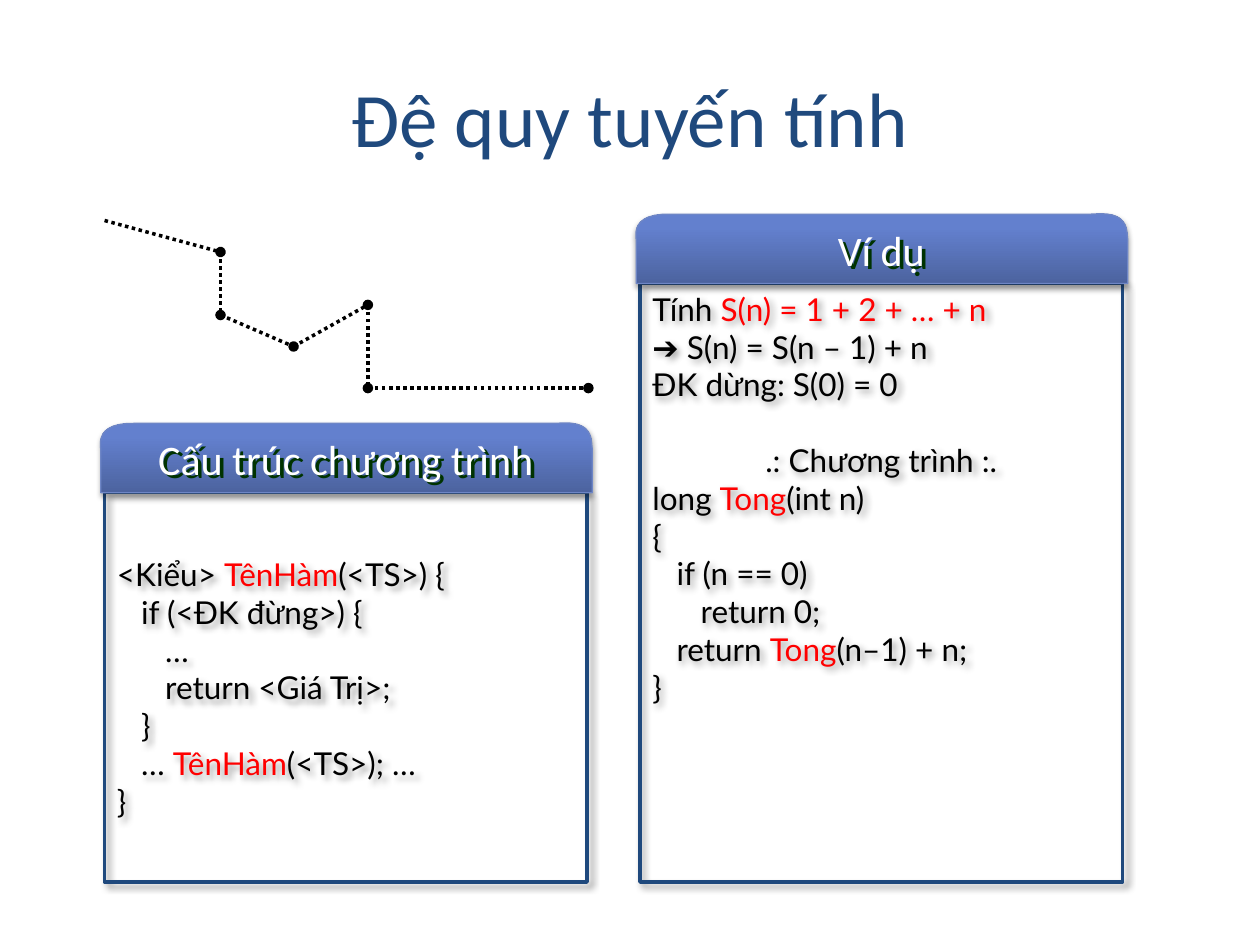
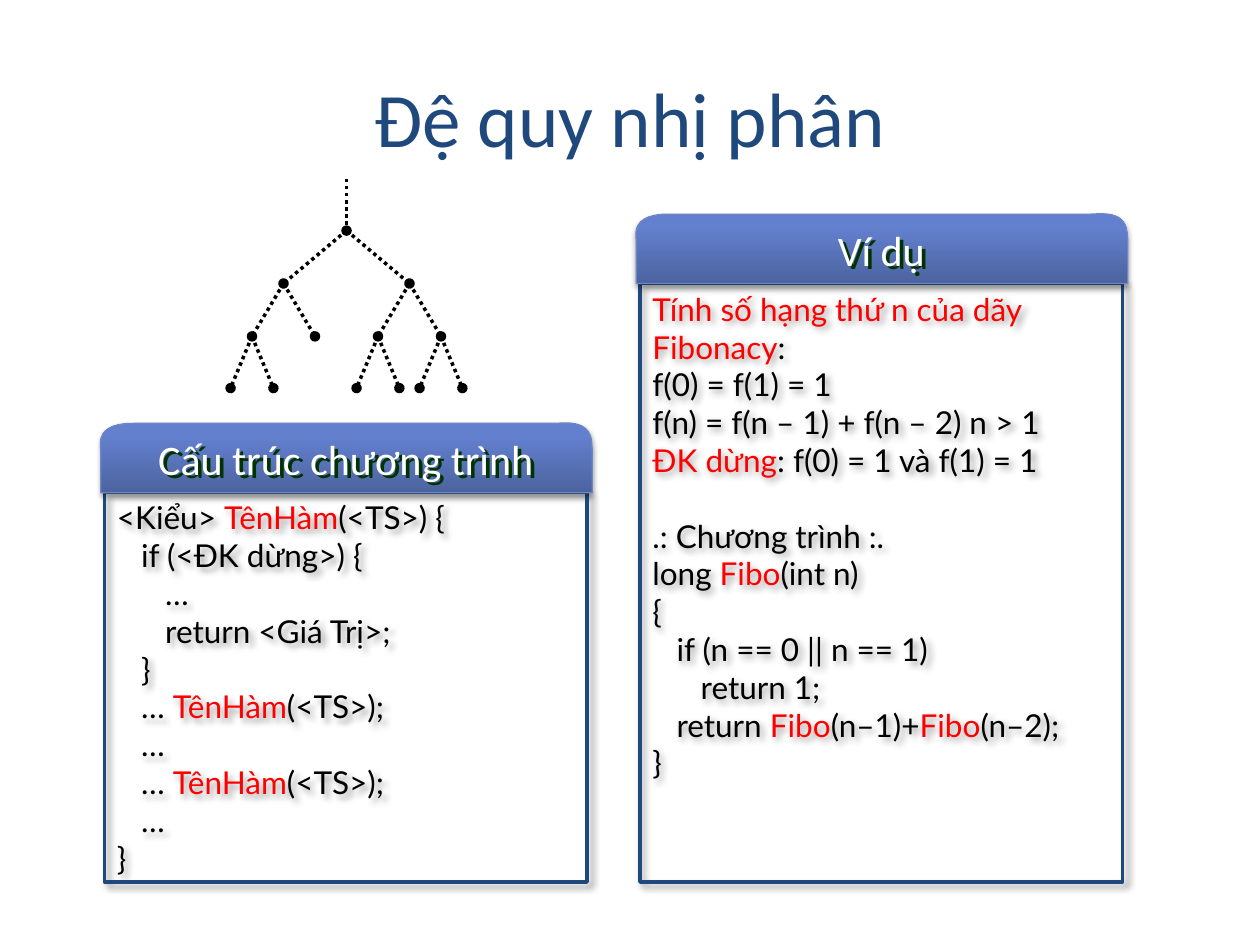
"""Build two slides on linear and binary recursion in Vietnamese."""
from lxml import etree
from pptx import Presentation
from pptx import util as u
from pptx.dml.color import RGBColor
from pptx.enum import dml, shapes, text
from pptx.oxml import parse_xml
from pptx.oxml.ns import nsdecls, qn

NAVY = RGBColor(0x1F, 0x49, 0x7D)
RED = RGBColor(0xFF, 0, 0)
BLACK = RGBColor(0, 0, 0)
WHITE = RGBColor(0xFF, 0xFF, 0xFF)
EDGE = RGBColor(0x6E, 0x86, 0xC6)
STOPS = [(0, RGBColor(0x4C, 0x63, 0x9F)), (80, RGBColor(0x63, 0x80, 0xCE)),
         (100, RGBColor(0x61, 0x80, 0xD1))]
LEAD = 21.6

LINEAR = [((0.83, 1.75), (1.75, 2)), ((1.75, 2), (1.75, 2.5)),
          ((1.75, 2.5), (2.33, 2.75)), ((2.33, 2.75), (2.92, 2.42)),
          ((2.92, 2.42), (2.92, 3.08)), ((2.92, 3.08), (4.67, 3.08))]

ROOT = (2.75, 1.83)
TREE = [((2.75, 1.42), ROOT)]
for side in (-0.5, 0.5):
    knot = (2.75 + side, 2.25)
    TREE.append((ROOT, knot))
    for turn in (-0.25, 0.25):
        twig = (knot[0] + turn, 2.67)
        TREE.append((knot, twig))
        if twig[0] != 2.5:
            TREE += [(twig, (twig[0] + step, 3.08)) for step in (-0.17, 0.17)]

SLIDES = [
    ("Đệ quy tuyến tính", LINEAR,
     ["<Kiểu> *TênHàm*(<TS>) {", "   if (<ĐK đừng>) {", "      …",
      "      return <Giá Trị>;", "   }", "   … *TênHàm*(<TS>); …", "}"],
     ["Tính *S(n) = 1 + 2 + … + n*", "➔ S(n) = S(n – 1) + n",
      "ĐK dừng: S(0) = 0", "^.: Chương trình :.", "long *Tong*(int n)", "{",
      "   if (n == 0)", "      return 0;", "   return *Tong*(n–1) + n;", "}"]),
    ("Đệ quy nhị phân", TREE,
     ["<Kiểu> *TênHàm*(<TS>) {", "   if (<ĐK dừng>) {", "      …",
      "      return <Giá Trị>;", "   }", "   … *TênHàm*(<TS>);", "   …",
      "   … *TênHàm*(<TS>);", "   …", "}"],
     ["*Tính số hạng thứ n của dãy Fibonacy*:", "f(0) = f(1) = 1",
      "f(n) = f(n – 1) + f(n – 2) n > 1",
      "*ĐK dừng*: f(0) = 1 và f(1) = 1", ".: Chương trình :.",
      "long *Fibo*(int n)", "{", "   if (n == 0 || n == 1)",
      "      return 1;", "   return *Fibo*(n–1)+*Fibo*(n–2);", "}"]),
]


def write(frame, lines, size, face, color, align):
    """Fill a frame; stars mark red runs and a caret centres a line."""
    frame.word_wrap = True
    for i, line in enumerate(lines):
        para = frame.paragraphs[0] if i == 0 else frame.add_paragraph()
        para.alignment = text.PP_ALIGN.CENTER if line[0] == "^" else align
        line = line.lstrip("^")
        if line.startswith(".:"):
            para.space_before = u.Pt(LEAD)
        for k, part in enumerate(line.split("*")):
            if part:
                run = para.add_run()
                run.text = part
                run.font.size = u.Pt(size)
                run.font.name = face
                run.font.color.rgb = RED if k % 2 else color


def shade(shape, color, alpha, blur, dist, angle):
    """Give a shape an outer shadow."""
    shape.shadow.inherit = False
    glow = shape._element.spPr.find(qn("a:effectLst"))
    glow.append(parse_xml(
        f'<a:outerShdw {nsdecls("a")} blurRad="{u.Pt(blur)}" dist="{u.Pt(dist)}" '
        f'dir="{angle * 60000}" algn="ctr" rotWithShape="0"><a:srgbClr val="{color}">'
        f'<a:alpha val="{alpha * 1000}"/></a:srgbClr></a:outerShdw>'))


deck = Presentation()
deck.slide_width, deck.slide_height = u.Inches(10), u.Inches(7.5)

for name, links, code, sample in SLIDES:
    slide = deck.slides.add_slide(deck.slide_layouts[5])
    title = slide.shapes.title
    title.left, title.top = u.Inches(0.5), u.Inches(0.3)
    title.width, title.height = u.Inches(9), u.Inches(1.25)
    title.text_frame.vertical_anchor = text.MSO_ANCHOR.MIDDLE
    write(title.text_frame, [name], 44, "Calibri", NAVY, text.PP_ALIGN.CENTER)

    for start, end in links:
        link = slide.shapes.add_connector(
            shapes.MSO_CONNECTOR.STRAIGHT, *map(u.Inches, start + end))
        link.line.color.rgb = BLACK
        link.line.width = u.Pt(2)
        link.line.dash_style = dml.MSO_LINE.ROUND_DOT
        etree.SubElement(link.line._get_or_add_ln(), qn("a:tailEnd"), type="oval")
        etree.SubElement(link._element.spPr, qn("a:effectLst"))

    for left, top, head, lines, anchor in [
            (0.75, 3.33, "Cấu trúc chương trình", code, text.MSO_ANCHOR.MIDDLE),
            (5, 1.67, "Ví dụ", sample, text.MSO_ANCHOR.TOP)]:
        floor = top + 0.58
        panel = slide.shapes.add_shape(
            shapes.MSO_SHAPE.ROUNDED_RECTANGLE, u.Inches(left + 0.08),
            u.Inches(floor), u.Inches(3.83), u.Inches(7 - floor))
        panel.adjustments[0] = 0
        panel.fill.background()
        panel.line.color.rgb = NAVY
        panel.line.width = u.Pt(2)
        shade(panel, BLACK, 40, 4, 3, 45)
        panel.text_frame.vertical_anchor = anchor
        write(panel.text_frame, lines, 18, "Lato", BLACK, text.PP_ALIGN.LEFT)

        edge = [(0.05, 0.58), (3.95, 0.58)]
        for bend in [((3.95, 0.23), (3.94, 0.15), (3.96, 0), (3.66, 0.03)),
                     ((0.33, 0.03), (0, 0.02), (0.05, 0.2), (0.05, 0.24))]:
            for t in (k / 12 for k in range(13)):
                mix = ((1 - t) ** 3, 3 * t * (1 - t) ** 2, 3 * t * t * (1 - t), t ** 3)
                edge.append(tuple(sum(m * p[axis] for m, p in zip(mix, bend))
                                  for axis in (0, 1)))
        spots = [(u.Inches(left + x), u.Inches(top + y)) for x, y in edge]
        pen = slide.shapes.build_freeform(*spots[0])
        pen.add_line_segments(spots[1:], close=True)
        band = pen.convert_to_shape()
        band.line.color.rgb = EDGE
        band.line.width = u.Pt(0.75)
        stops = "".join(f'<a:gs pos="{pos * 1000}"><a:srgbClr val="{tint}"/></a:gs>'
                        for pos, tint in STOPS)
        band.line._get_or_add_ln().addprevious(parse_xml(
            f'<a:gradFill {nsdecls("a")} rotWithShape="1"><a:gsLst>{stops}</a:gsLst>'
            '<a:lin ang="16200000" scaled="0"/></a:gradFill>'))
        shade(band, BLACK, 35, 3.1, 1.8, 90)

        label = slide.shapes.add_textbox(
            u.Inches(left + 0.16), u.Inches(top + 0.06), u.Inches(3.67), u.Inches(0.5))
        write(label.text_frame, [head], 24, "Calibri", WHITE, text.PP_ALIGN.CENTER)
        shade(label, RGBColor(0, 0x33, 0), 100, 0, 3, 45)

deck.save("out.pptx")
